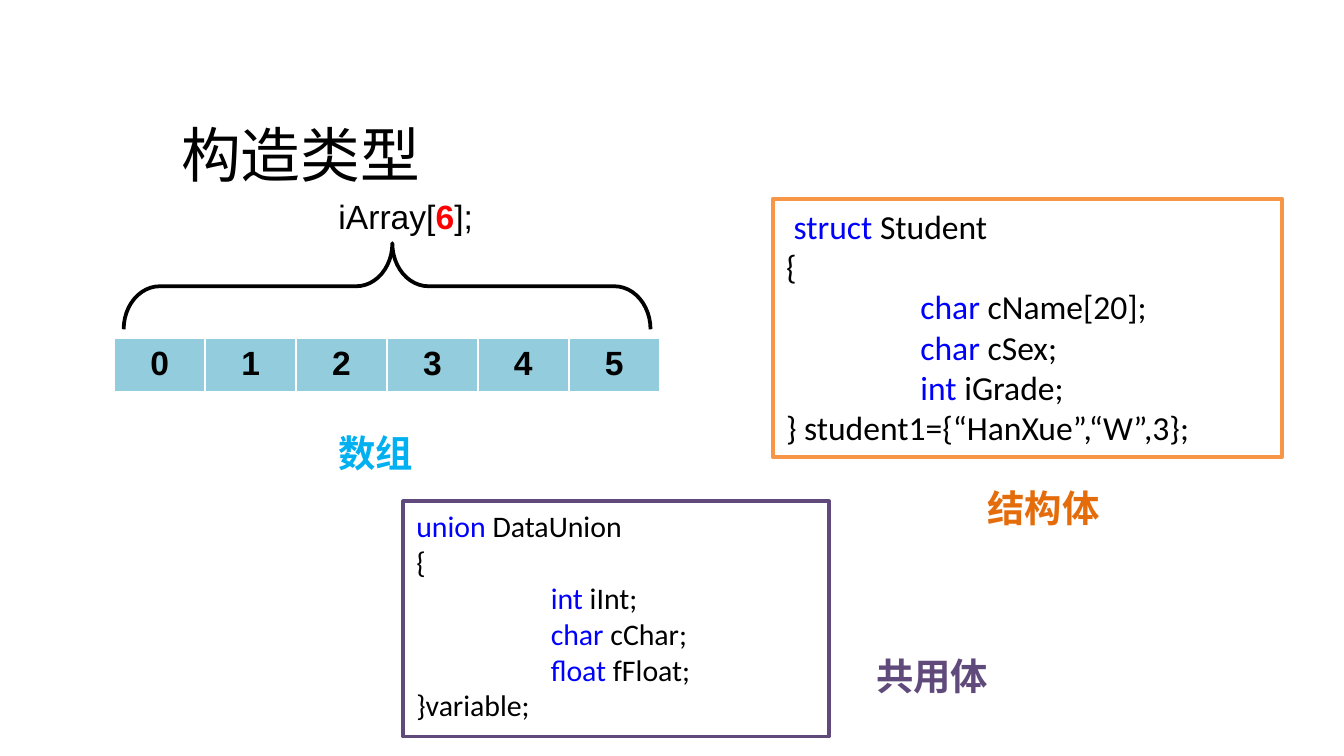
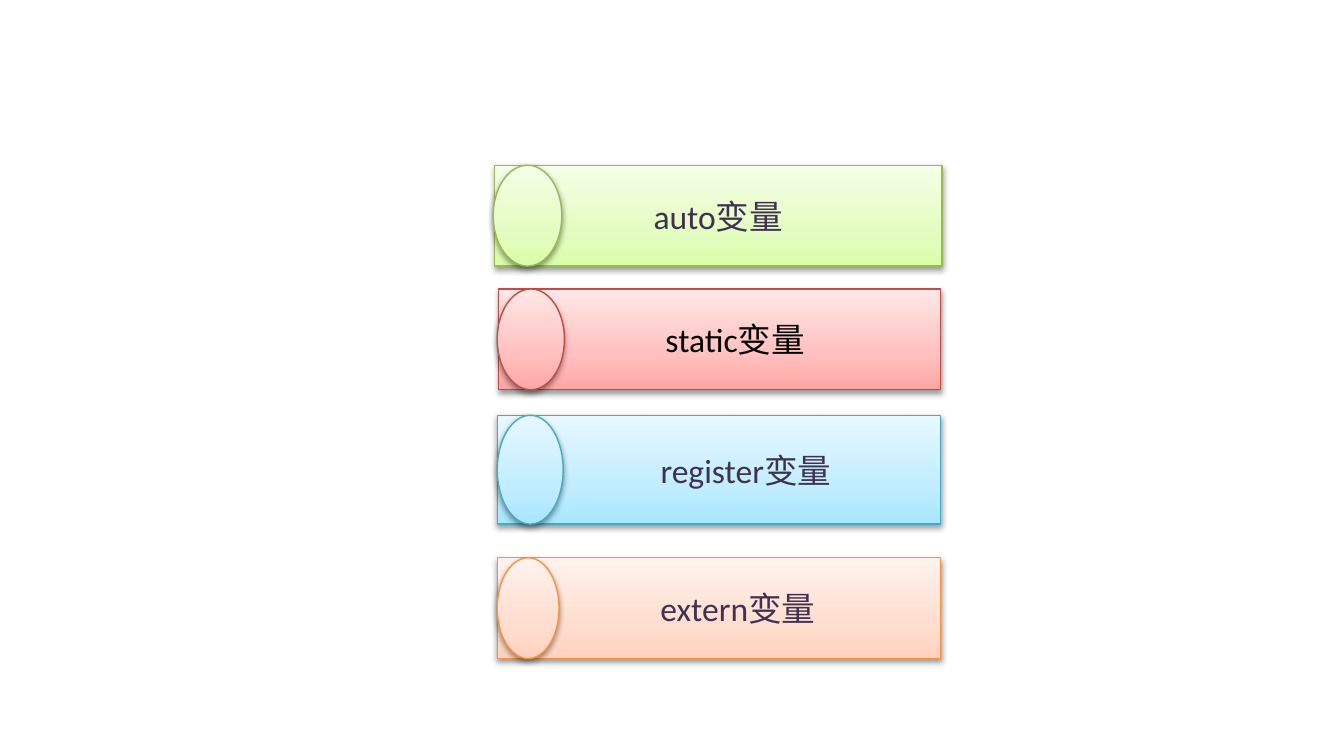
import copy
from dataclasses import dataclass

import lxml.etree
import pptx
import pptx.dml.color
import pptx.enum.shapes
import pptx.enum.text
import pptx.oxml.ns
import pptx.util

Inches = pptx.util.Inches
Pt = pptx.util.Pt
RGBColor = pptx.dml.color.RGBColor
qn = pptx.oxml.ns.qn
MSO_SHAPE = pptx.enum.shapes.MSO_SHAPE
MSO_ANCHOR = pptx.enum.text.MSO_ANCHOR
PP_ALIGN = pptx.enum.text.PP_ALIGN


@dataclass(frozen=True)
class Theme:
    body_font: str = "Calibri"
    array_font: str = "Arial"
    chinese_font: str = "Noto Sans CJK JP"
    title_size: int = 32
    label_size: int = 20
    body_size: int = 18
    small_code_size: int = 16
    black: str = "000000"
    white: str = "FFFFFF"
    keyword: str = "0000FF"
    highlight: str = "FF0000"
    cell: str = "93CDDD"
    array: str = "00B0F0"
    struct_border: str = "F79646"
    struct_label: str = "E46C0A"
    union: str = "604A7B"
    dark_violet: str = "403152"


theme = Theme()


def write_lines(frame, lines, size, font=theme.body_font, bold=False,
                anchor=MSO_ANCHOR.TOP, align=PP_ALIGN.LEFT):
    """Fill a text frame; each line is a list of (text, colour) runs."""
    frame.word_wrap = True
    frame.vertical_anchor = anchor
    for index, line in enumerate(lines):
        paragraph = frame.add_paragraph() if index else frame.paragraphs[0]
        paragraph.alignment = align
        if line[0][0].startswith("\t"):
            tab_list = lxml.etree.SubElement(paragraph._p.get_or_add_pPr(), qn("a:tabLst"))
            lxml.etree.SubElement(tab_list, qn("a:tab"), pos=str(Inches(1)), algn="l")
        for text, color in line:
            run = paragraph.add_run()
            run.text = text
            run.font.size = Pt(size)
            run.font.bold = bold or color == theme.highlight
            run.font.color.rgb = RGBColor.from_string(color)
            run.font.name = font
            east_asian = lxml.etree.SubElement(run.font._element, qn("a:ea"))
            east_asian.set("typeface", font)


presentation = pptx.Presentation()
presentation.slide_width = Inches(10)
presentation.slide_height = presentation.slide_width * 9 // 16
blank = presentation.slide_layouts[6]

# Slide 1: constructed types
slide = presentation.slides.add_slide(blank)
title = slide.shapes.add_textbox(Inches(1.25), Inches(0.81), Inches(6.08), Inches(0.67))
write_lines(title.text_frame, [[("构造类型", theme.black)]], theme.title_size,
            anchor=MSO_ANCHOR.MIDDLE)

# Array cells
table = slide.shapes.add_table(
    1, 6, Inches(0.85), Inches(2.52), Inches(4.06), Inches(0.41)).table
table.first_row = False
table.horz_banding = False
for number, cell in enumerate(table.iter_cells()):
    write_lines(cell.text_frame, [[(str(number), theme.black)]], theme.body_size,
                theme.array_font, bold=True, align=PP_ALIGN.CENTER)
    cell.fill.solid()
    cell.fill.fore_color.rgb = RGBColor.from_string(theme.cell)
    properties = cell._tc.get_or_add_tcPr()
    for position, (side, width) in enumerate([("L", 1), ("R", 1), ("T", 1), ("B", 3)]):
        border = lxml.etree.Element(qn(f"a:ln{side}"), w=str(Pt(width)))
        border_fill = lxml.etree.SubElement(border, qn("a:solidFill"))
        lxml.etree.SubElement(border_fill, qn("a:srgbClr"), val=theme.white)
        properties.insert(position, border)

brace = slide.shapes.add_shape(
    MSO_SHAPE.RIGHT_BRACE, Inches(2.56), Inches(0.17), Inches(0.64), Inches(3.92))
brace.rotation = 270
brace.adjustments[0] = 0.42
brace.adjustments[1] = 0.51
brace.shadow.inherit = False
brace.fill.background()
brace.line.color.rgb = RGBColor.from_string(theme.black)
brace.line.width = Pt(2)

declaration = slide.shapes.add_textbox(Inches(2.42), Inches(1.41), Inches(1.21), Inches(0.4))
declaration.text_frame.margin_right = 0
write_lines(declaration.text_frame,
            [[("iArray[", theme.black), ("6", theme.highlight), ("];", theme.black)]],
            theme.body_size, theme.array_font)

# Code boxes: each line is (indent, keyword, rest)
struct_code = [
    ("", " struct", " Student"),
    ("", "", "{"),
    ("\t", "char ", "cName[20];"),
    ("\t", "char ", "cSex;"),
    ("\t", "int ", "iGrade;"),
    ("", "", "} student1={“HanXue”,“W”,3};"),
]
union_code = [
    ("", "union ", "DataUnion"),
    ("", "", "{"),
    ("\t", "int ", "iInt;"),
    ("\t", "char ", "cChar;"),
    ("\t", "float ", "fFloat;"),
    ("", "", "}variable;"),
]
code_boxes = [
    (struct_code, theme.body_size, theme.struct_border, 5.75, 1.48, 3.79, 1.92),
    (union_code, theme.small_code_size, theme.union, 3, 3.73, 3.17, 1.75),
]
for code, size, border_color, left, top, width, height in code_boxes:
    box = slide.shapes.add_shape(
        MSO_SHAPE.RECTANGLE, Inches(left), Inches(top), Inches(width), Inches(height))
    box.shadow.inherit = False
    box.fill.solid()
    box.fill.fore_color.rgb = RGBColor.from_string(theme.white)
    box.line.color.rgb = RGBColor.from_string(border_color)
    box.line.width = Pt(2)
    run_colors = (theme.black, theme.keyword, theme.black)
    lines = [[(text, color) for text, color in zip(line, run_colors) if text]
             for line in code]
    write_lines(box.text_frame, lines, size)

type_labels = [
    ("数组", theme.array, 2.42, 3.15),
    ("结构体", theme.struct_label, 7.25, 3.56),
    ("共用体", theme.union, 6.42, 4.81),
]
for text, color, left, top in type_labels:
    label = slide.shapes.add_textbox(Inches(left), Inches(top), Inches(1.08), Inches(0.44))
    write_lines(label.text_frame, [[(text, color)]], theme.label_size,
                theme.chinese_font, bold=True)

# Slide 2: storage classes
slide = presentation.slides.add_slide(blank)

# text, text colour, line colour, gradient, left inset, bar left, top, bar width,
# ellipse left, ellipse width, height
storage_bars = [
    ("auto变量", theme.dark_violet, "98B955", ("DAFDA7", "E4FCC2", "F5FFE7"),
     0.1, 3.68, 1.23, 3.33, 3.67, 0.51, 0.75),
    ("static变量", theme.black, "BF4C48", ("FFA6A5", "FFC0BF", "FFE7E7"),
     0.33, 3.71, 2.15, 3.29, 3.7, 0.5, 0.75),
    ("register变量", theme.dark_violet, "46AAC5", ("A7E6FF", "C1EDFF", "E7F8FF"),
     0.5, 3.7, 3.09, 3.3, 3.7, 0.49, 0.81),
    ("extern变量", theme.dark_violet, "F69240", ("FFD2BD", "FFDED0", "FFF2ED"),
     0.38, 3.7, 4.15, 3.3, 3.7, 0.46, 0.75),
]
for (text, text_color, line_color, gradient, inset, bar_left, top, bar_width,
     ellipse_left, ellipse_width, height) in storage_bars:
    group = slide.shapes.add_group_shape()
    bar = group.shapes.add_shape(
        MSO_SHAPE.RECTANGLE, Inches(bar_left), Inches(top), Inches(bar_width), Inches(height))
    ellipse = group.shapes.add_shape(
        MSO_SHAPE.OVAL, Inches(ellipse_left), Inches(top), Inches(ellipse_width), Inches(height))
    for shape in (bar, ellipse):
        shape.line.color.rgb = RGBColor.from_string(line_color)
        shape.line.width = Pt(0.75)
        shape.fill.gradient()
        shape.fill.gradient_angle = 90
        shape_properties = shape._element.spPr
        stop_list = shape_properties.find(".//" + qn("a:gsLst"))
        stop_list.insert(1, copy.deepcopy(stop_list[0]))
        for stop, color, position in zip(shape.fill.gradient_stops, gradient, (0, 0.35, 1)):
            stop.color.rgb = RGBColor.from_string(color)
            stop.position = position
        shape.shadow.inherit = False
        shadow = lxml.etree.SubElement(
            shape_properties.find(qn("a:effectLst")), qn("a:outerShdw"),
            blurRad=str(Pt(3.1)), dist=str(Pt(1.6)), dir="5400000", rotWithShape="0")
        shadow_color = lxml.etree.SubElement(shadow, qn("a:srgbClr"), val=theme.black)
        lxml.etree.SubElement(shadow_color, qn("a:alpha"), val="38000")
    bar.text_frame.margin_left = Inches(inset)
    write_lines(bar.text_frame, [[(text, text_color)]], theme.body_size,
                anchor=MSO_ANCHOR.MIDDLE, align=PP_ALIGN.CENTER)

presentation.save("out.pptx")
